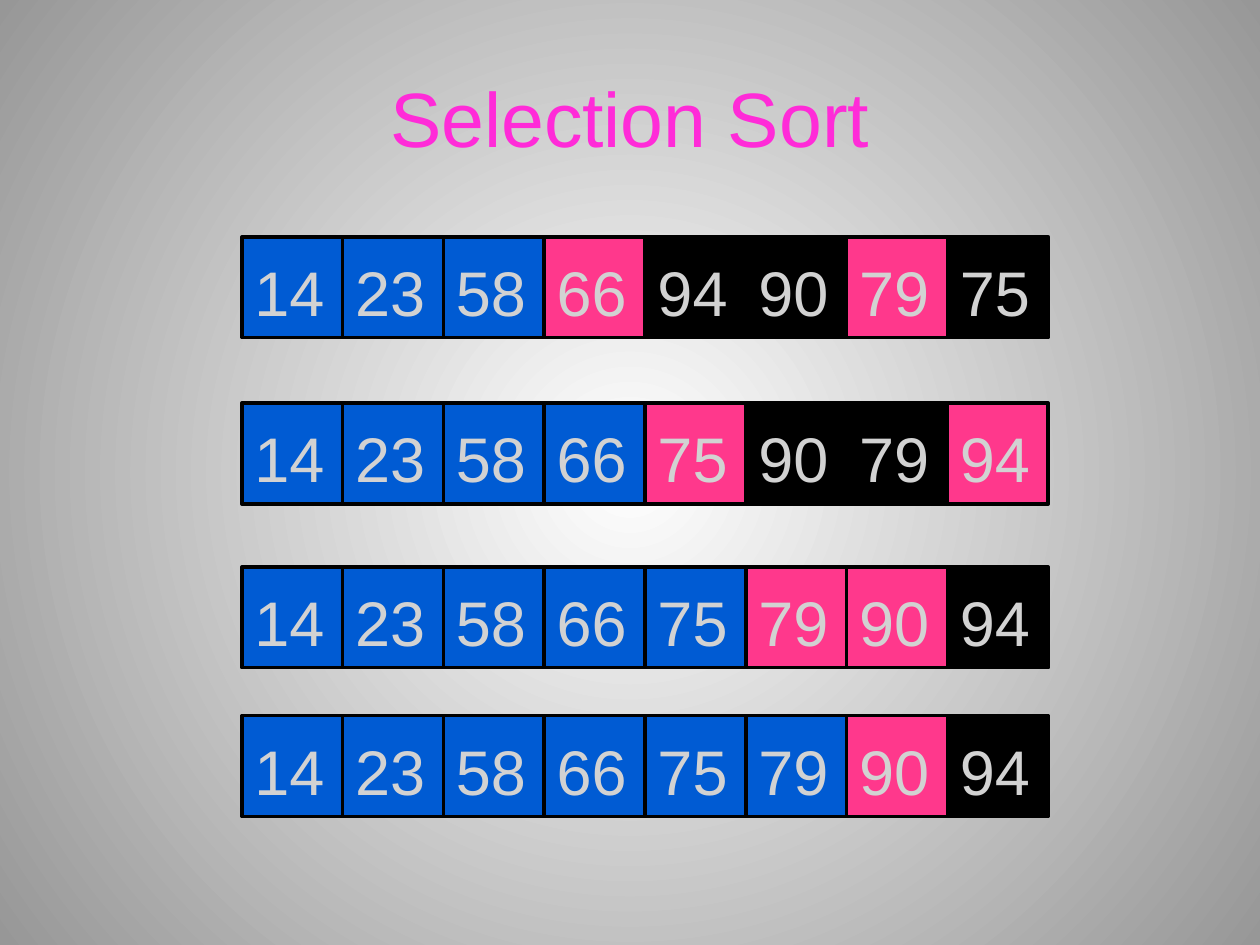
from dataclasses import dataclass
from typing import Any

from lxml.etree import SubElement
from pptx import Presentation
from pptx.dml.color import RGBColor
from pptx.enum.shapes import MSO_SHAPE
from pptx.enum.text import MSO_ANCHOR, PP_ALIGN
from pptx.oxml.ns import qn
from pptx.util import Emu, Pt

EMU_PER_PX = 9144
CELL_SIZE = 80
ROW_LEFT = 192

WHITE = RGBColor(0xFF, 0xFF, 0xFF)
GRAY = RGBColor(0x97, 0x97, 0x97)
MAGENTA = RGBColor(0xFF, 0x2B, 0xD8)
BLUE = RGBColor(0x00, 0x5B, 0xD3)
PINK = RGBColor(0xFF, 0x38, 0x8C)
BLACK = RGBColor(0x00, 0x00, 0x00)
LIGHT_GRAY = RGBColor(0xD2, 0xD2, 0xD2)

TITLE_FONT = {"name": "Arial", "size": Pt(44)}
CELL_FONT = {"name": "Arial", "size": Pt(36)}


@dataclass(frozen=True)
class SortStep:
    top: int
    values: tuple[int, ...]
    sorted_count: int
    swapped: tuple[int, ...]

    def color(self, index: int) -> RGBColor:
        if index in self.swapped:
            return PINK
        return BLUE if index < self.sorted_count else BLACK


STEPS = (
    SortStep(188, (14, 23, 58, 66, 94, 90, 79, 75), 3, (3, 6)),
    SortStep(320, (14, 23, 58, 66, 75, 90, 79, 94), 4, (4, 7)),
    SortStep(450, (14, 23, 58, 66, 75, 79, 90, 94), 5, (5, 6)),
    SortStep(568, (14, 23, 58, 66, 75, 79, 90, 94), 6, (6,)),
)


def px(length: int) -> Emu:
    return Emu(length * EMU_PER_PX)


def apply_format(target: Any, values: dict[str, Any]) -> None:
    for name, value in values.items():
        setattr(target, name, value)


def write_text(shape: Any, text: str, font: dict[str, Any], color: RGBColor,
               alignment: PP_ALIGN, frame: dict[str, Any]) -> None:
    apply_format(shape.text_frame, {"vertical_anchor": MSO_ANCHOR.MIDDLE, **frame})
    paragraph = shape.text_frame.paragraphs[0]
    paragraph.alignment = alignment
    run = paragraph.add_run()
    run.text = text
    apply_format(run.font, font)
    run.font.color.rgb = color


def set_background(slide: Any) -> None:
    fill = slide.background.fill
    fill.gradient()
    for stop, position, color in zip(fill.gradient_stops, (0, 1), (WHITE, GRAY)):
        stop.position = position
        stop.color.rgb = color
    gradient = next(slide.element.iter(qn("a:gradFill")))
    gradient.remove(gradient.find(qn("a:lin")))
    circle = SubElement(gradient, qn("a:path"), {"path": "circle"})
    SubElement(circle, qn("a:fillToRect"), dict.fromkeys("ltrb", "50000"))


def draw_title(slide: Any) -> None:
    title = slide.shapes.add_textbox(px(50), px(30), px(900), px(125))
    write_text(title, "Selection Sort", TITLE_FONT, MAGENTA, PP_ALIGN.CENTER,
               {"word_wrap": True})


def draw_cell(shapes: Any, step: SortStep, index: int) -> None:
    cell = shapes.add_shape(
        MSO_SHAPE.RECTANGLE, px(ROW_LEFT + index * CELL_SIZE), px(step.top),
        px(CELL_SIZE), px(CELL_SIZE))
    cell.shadow.inherit = False
    cell.fill.solid()
    cell.fill.fore_color.rgb = step.color(index)
    cell.line.color.rgb = BLACK
    cell.line.width = Pt(2)
    write_text(cell, str(step.values[index]), CELL_FONT, LIGHT_GRAY, PP_ALIGN.LEFT,
               {"word_wrap": False, "margin_top": px(11)})


def draw_step(slide: Any, step: SortStep) -> None:
    group = slide.shapes.add_group_shape()
    for index in range(len(step.values)):
        if index not in step.swapped:
            draw_cell(group.shapes, step, index)
    for index in step.swapped:
        draw_cell(slide.shapes, step, index)


def main() -> None:
    presentation = Presentation()
    apply_format(presentation, {"slide_width": px(1000), "slide_height": px(750)})
    slide = presentation.slides.add_slide(presentation.slide_layouts[6])
    set_background(slide)
    draw_title(slide)
    for step in STEPS:
        draw_step(slide, step)
    presentation.save("out.pptx")


if __name__ == "__main__":
    main()
